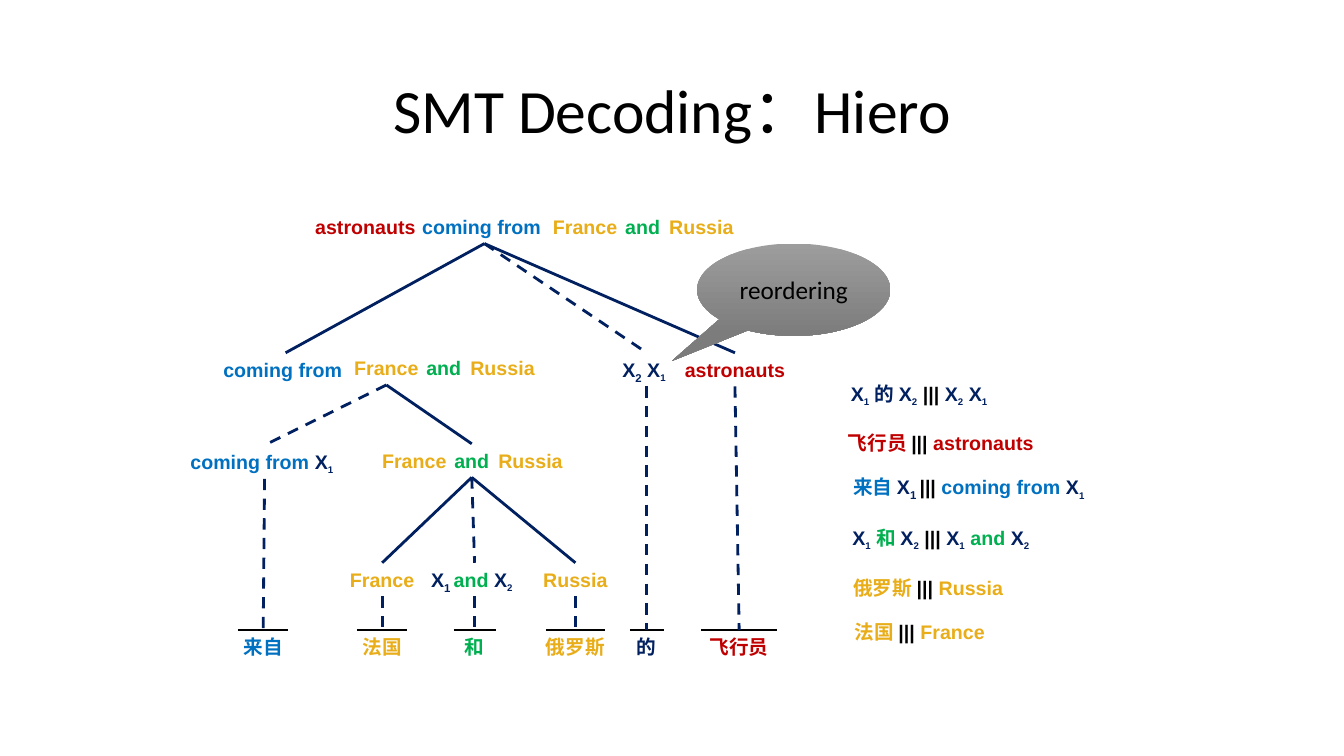
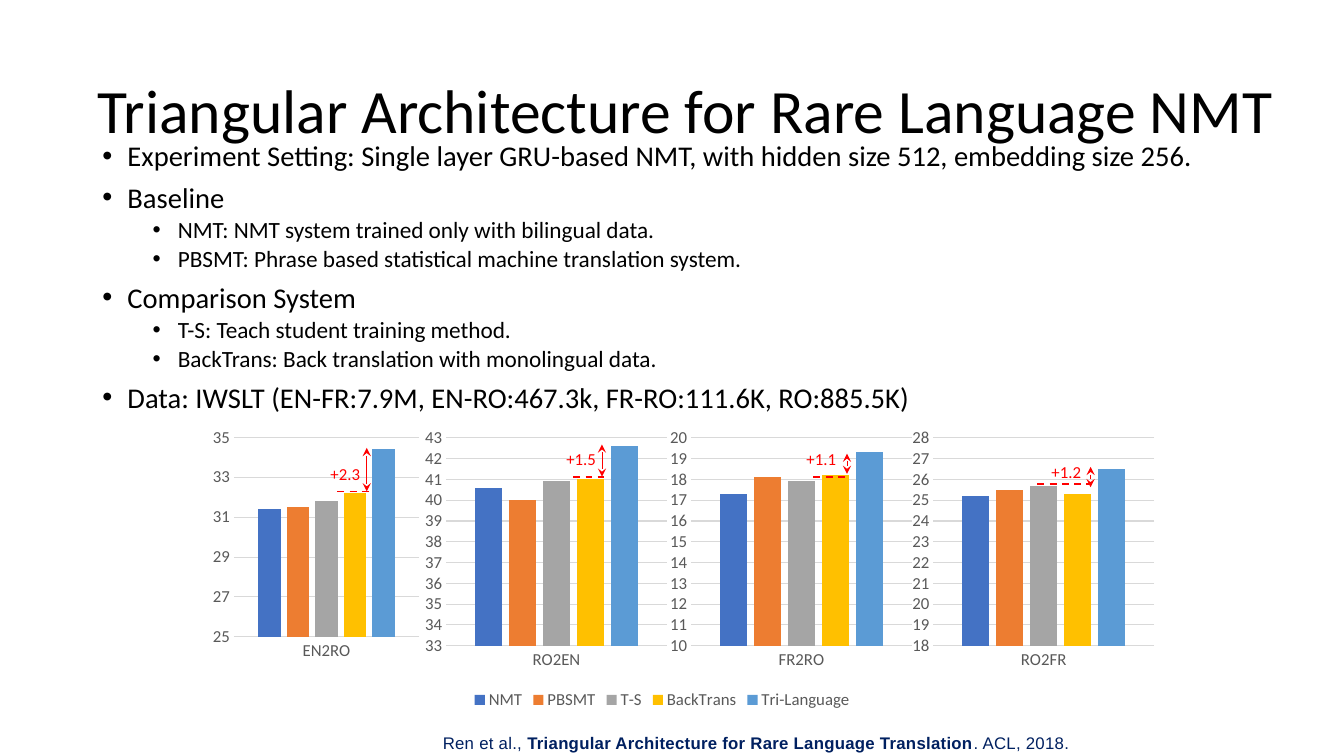
"""Build two slides on machine translation: a Hiero derivation tree and triangular NMT results."""
from lxml.etree import SubElement
from pptx import Presentation
from pptx.chart.data import CategoryChartData
from pptx.dml.color import RGBColor
from pptx.enum.chart import XL_CHART_TYPE, XL_LEGEND_POSITION, XL_TICK_MARK
from pptx.enum.dml import MSO_LINE
from pptx.enum.shapes import MSO_CONNECTOR, MSO_SHAPE
from pptx.enum.text import MSO_ANCHOR, MSO_AUTO_SIZE, PP_ALIGN
from pptx.oxml import parse_xml
from pptx.oxml.ns import qn
from pptx.util import Pt

COLORS = {
    "black": "000000", "navy": "002060", "crimson": "C00000", "blue": "0070C0",
    "gold": "E8AD18", "green": "00B050", "red": "FF0000", "axis": "595959",
    "grid": "D9D9D9", "callout_top": "9D9D9D", "callout_bottom": "7C7C7C",
}
SERIES = {"NMT": "4472C4", "PBSMT": "ED7D31", "T-S": "A5A5A5",
          "BackTrans": "FFC000", "Tri-Language": "5B9BD5"}
TOP, BOTTOM = 0, 2


def write(paragraph, text, size=14, font="Arial", color="black", bold=False, align=None,
          line_spacing=None, space_before=None, bullet_left=None, baseline=0, tracking=0):
    """Fill a paragraph with a string or with (string, format overrides) pairs."""
    if bullet_left:
        properties = paragraph._p.get_or_add_pPr()
        properties.set("marL", str(Pt(bullet_left)))
        properties.set("indent", str(Pt(-18)))
        SubElement(properties, qn("a:buFont")).set("typeface", "Arial")
        SubElement(properties, qn("a:buChar")).set("char", "•")
    paragraph.alignment = align
    paragraph.line_spacing = line_spacing
    if space_before:
        paragraph.space_before = Pt(space_before)
    style = dict(size=size, font=font, color=color, bold=bold, baseline=baseline)
    for words, overrides in [(text, {})] if isinstance(text, str) else text:
        look = style | overrides
        run = paragraph.add_run()
        run.text = words
        run.font.size = Pt(look["size"])
        run.font.name = look["font"]
        run.font.bold = look["bold"]
        run.font.color.rgb = RGBColor.from_string(COLORS[look["color"]])
        for attribute, value in (("baseline", look["baseline"]), ("spc", tracking)):
            if value:
                run._r.get_or_add_rPr().set(attribute, str(value))


def add_line(slide, start, end, color, width=2, dashed=False, arrows=False):
    """Draw a straight connector between two points."""
    connector = slide.shapes.add_connector(
        MSO_CONNECTOR.STRAIGHT, *(Pt(value) for value in (*start, *end)))
    connector.line.color.rgb = RGBColor.from_string(COLORS[color])
    connector.line.width = Pt(width)
    if dashed:
        connector.line.dash_style = MSO_LINE.DASH
    if arrows:
        for tag in ("a:headEnd", "a:tailEnd"):
            SubElement(connector.line._get_or_add_ln(), qn(tag)).set("type", "stealth")
    SubElement(connector._element.spPr, qn("a:effectLst"))
    return connector


presentation = Presentation()
presentation.slide_width, presentation.slide_height = Pt(960), Pt(540)

slides = []
for title_text, left, width in (
    ("SMT Decoding：Hiero", 66, 828),
    ("Triangular Architecture for Rare Language NMT", 32, 916),
):
    slide = presentation.slides.add_slide(presentation.slide_layouts[5])
    title = slide.shapes.title
    title.left, title.top, title.width, title.height = Pt(left), Pt(29), Pt(width), Pt(104)
    title.text_frame.auto_size = MSO_AUTO_SIZE.NONE
    title.text_frame.vertical_anchor = MSO_ANCHOR.MIDDLE
    write(title.text_frame.paragraphs[0], title_text, size=44, font="Calibri",
          align=PP_ALIGN.CENTER, line_spacing=0.9)
    slides.append(slide)
tree_slide, result_slide = slides

BLACK, NAVY, CRIMSON, BLUE, GOLD, GREEN = (
    {"color": name} for name in ("black", "navy", "crimson", "blue", "gold", "green"))
CALIBRI = {"font": "Calibri"}
LARGE_SUBSCRIPT = NAVY | {"baseline": -25000}
SUBSCRIPT = LARGE_SUBSCRIPT | {"size": 12}
X = ("X", NAVY)
X1, X2 = (X, ("1", SUBSCRIPT)), (X, ("2", SUBSCRIPT))
BARS = ("||| ", BLACK)
SPACE = (" ", NAVY)

leaves = [
    ("来自", 164, 48, 36, BLUE),
    ("法国", 246, 54, 36, GOLD),
    ("和", 324, 30, 30, GREEN),
    ("俄罗斯", 378, 66, 42, GOLD),
    ("的", 444, 36, 24, NAVY | CALIBRI),
    ("飞行员", 483, 90, 54, CRIMSON | CALIBRI),
]
labels = [
    ("root astronauts", 216, 150, 90, [("astronauts", CRIMSON)]),
    ("root", 292, 150, 108, [("coming from ", BLUE)]),
    ("coming from", 150, 252, 108, [("coming from ", BLUE)]),
    ("swap", 432, 252, 60, [X, ("2", LARGE_SUBSCRIPT), SPACE, *X1, SPACE]),
    ("astronauts", 480, 252, 90, [("astronauts", CRIMSON)]),
    ("coming from X", 126, 318, 126, [("coming from ", BLUE), *X1, SPACE]),
    ("France", 237, 402, 72, [("France", GOLD)]),
    ("X and X", 300, 402, 78,
     [X, ("1 ", LARGE_SUBSCRIPT), ("and ", GREEN), *X2, SPACE]),
    ("Russia", 378, 402, 66, [("Russia", GOLD)]),
    ("rule 的", 580, 269, 153,
     [*X1, SPACE, ("的 ", NAVY | CALIBRI), *X2, SPACE, BARS, *X2, SPACE, *X1]),
    ("rule 飞行员", 594, 304, 156,
     [("飞行员 ", CRIMSON | CALIBRI), BARS, ("astronauts", CRIMSON)]),
    ("rule 来自", 593, 336, 198,
     [("来自 ", BLUE), X, ("1 ", LARGE_SUBSCRIPT), BARS, ("coming from ", BLUE), *X1]),
    ("rule 和", 594, 372, 156,
     [*X1, SPACE, ("和 ", GREEN), *X2, SPACE, BARS, *X1, SPACE, ("and ", GREEN), *X2]),
    ("rule 俄罗斯", 594, 408, 138, [("俄罗斯 ", GOLD), BARS, ("Russia", GOLD)]),
    ("rule 法国", 597, 439, 120, [("法国 ", GOLD), BARS, ("France", GOLD)]),
]
for level, left, top in (("top", 386, 150), ("middle", 244, 251), ("low", 264, 317)):
    for word, offset, width, style in (
        ("France", 0, 64, GOLD), ("and", 49, 48, GREEN), ("Russia", 83, 64, GOLD),
    ):
        labels.append((f"{level} {word}", left + offset, top, width, [(word, style)]))
for word, left, width, bar, style in leaves:
    labels.append((word, left, 450, width, [(word, style)]))
    center = left + width / 2
    add_line(tree_slide, (center - bar / 2, 450), (center + bar / 2, 450), "black")

nodes = {}
for name, left, top, width, runs in labels:
    nodes[name] = tree_slide.shapes.add_textbox(Pt(left), Pt(top), Pt(width), Pt(24))
    nodes[name].text_frame.word_wrap = True
    write(nodes[name].text_frame.paragraphs[0], runs, bold=True, align=PP_ALIGN.CENTER)

for parent, child, dashed in (
    ("root", "coming from", False),
    ("root", "swap", True),
    ("root", "astronauts", False),
    ("middle France", "coming from X", True),
    ("middle France", "low and", False),
    ("low and", "France", False),
    ("low and", "X and X", True),
    ("low and", "Russia", False),
    ("coming from X", "来自", True),
    ("France", "法国", True),
    ("X and X", "和", True),
    ("Russia", "俄罗斯", True),
    ("swap", "的", True),
    ("astronauts", "飞行员", True),
):
    branch = add_line(tree_slide, (0, 0), (0, 0), "navy", dashed=dashed)
    branch.begin_connect(nodes[parent], BOTTOM)
    branch.end_connect(nodes[child], TOP)

callout = tree_slide.shapes.add_shape(
    MSO_SHAPE.OVAL_CALLOUT, Pt(498), Pt(174), Pt(138), Pt(66))
callout.adjustments[0], callout.adjustments[1] = -0.63, 0.77
callout.shadow.inherit = False
callout.fill.gradient()
callout.fill.gradient_angle = 270
for stop, name in zip(callout.fill.gradient_stops, ("callout_top", "callout_bottom")):
    stop.color.rgb = RGBColor.from_string(COLORS[name])
callout.line.fill.background()
callout.text_frame.vertical_anchor = MSO_ANCHOR.MIDDLE
write(callout.text_frame.paragraphs[0], "reordering", size=18, font="Calibri",
      align=PP_ALIGN.CENTER)

charts = [
    ("EN2RO", (130, 300, 686, 210), (25, 35, 2), (31.4, 31.5, 31.8, 32.2, 34.4)),
    ("RO2EN", (300, 302, 180, 180), (33, 43, 1), (40.6, 40, 40.9, 41, 42.6)),
    ("FR2RO", (475, 302, 180, 180), (10, 20, 1), (17.3, 18.1, 17.9, 18.2, 19.3)),
    ("RO2FR", (648, 302, 180, 180), (18, 28, 1), (25.2, 25.5, 25.7, 25.3, 26.5)),
]
for category, box, (low, high, step), values in charts:
    data = CategoryChartData()
    data.categories = [category]
    for name, value in zip(SERIES, values):
        data.add_series(name, [value])
    chart = result_slide.shapes.add_chart(
        XL_CHART_TYPE.COLUMN_CLUSTERED, *(Pt(value) for value in box), data).chart
    chart.has_title = False
    chart.has_legend = category == "EN2RO"
    chart.font.name, chart.font.size = "Calibri", Pt(12)
    chart.font.color.rgb = RGBColor.from_string(COLORS["axis"])
    chart._chartSpace.find(qn("c:chart")).addnext(parse_xml(
        '<c:spPr xmlns:c="http://schemas.openxmlformats.org/drawingml/2006/chart"'
        ' xmlns:a="http://schemas.openxmlformats.org/drawingml/2006/main">'
        '<a:noFill/><a:ln><a:noFill/></a:ln></c:spPr>'))
    plot = chart.plots[0]
    plot.vary_by_categories = False
    plot.gap_width, plot.overlap = 219, -27
    for series, color in zip(plot.series, SERIES.values()):
        series.format.fill.solid()
        series.format.fill.fore_color.rgb = RGBColor.from_string(color)
    value_axis = chart.value_axis
    value_axis.minimum_scale, value_axis.maximum_scale = low, high
    value_axis.major_unit = step
    value_axis.format.line.fill.background()
    for axis in (chart.category_axis, value_axis):
        axis.major_tick_mark = axis.minor_tick_mark = XL_TICK_MARK.NONE
    for line in (chart.category_axis.format.line, value_axis.major_gridlines.format.line):
        line.color.rgb = RGBColor.from_string(COLORS["grid"])
        line.width = Pt(0.75)
    if chart.has_legend:
        chart.legend.position = XL_LEGEND_POSITION.BOTTOM
        chart.legend.include_in_layout = False
        plot_area = chart._chartSpace.find(".//" + qn("c:plotArea"))
        for old_layout in plot_area.findall(qn("c:layout")):
            plot_area.remove(old_layout)
        layout = plot_area.makeelement(qn("c:layout"))
        plot_area.insert(0, layout)
        manual = SubElement(layout, qn("c:manualLayout"))
        for tag, value in (("layoutTarget", "inner"), ("xMode", "edge"), ("yMode", "edge"),
                           ("x", 0.054), ("y", 0.059), ("w", 0.193), ("h", 0.679)):
            SubElement(manual, qn(f"c:{tag}")).set("val", str(value))

for gain, left, top, arrow_x, arrow_top, arrow_bottom, dash_left, dash_right, dash_y in (
    ("+2.3", 229, 328, 262, 320, 351, 241, 263.5, 351),
    ("+1.5", 397.5, 317, 430, 317.5, 340.5, 409.5, 431.5, 340.5),
    ("+1.1", 569, 317, 605, 324, 338.5, 581, 603.5, 340.5),
    ("+1.2", 744, 326, 779, 333.5, 348, 741, 780, 345.5),
):
    gain_box = result_slide.shapes.add_textbox(Pt(left), Pt(top), Pt(36), Pt(22))
    gain_box.text_frame.word_wrap = False
    write(gain_box.text_frame.paragraphs[0], gain, size=12, font="Calibri", color="red")
    add_line(result_slide, (arrow_x, arrow_top), (arrow_x, arrow_bottom), "red", 0.5,
             arrows=True)
    add_line(result_slide, (dash_left, dash_y), (dash_right, dash_y), "red", 1.25,
             dashed=True)

body = result_slide.shapes.add_textbox(Pt(66), Pt(100), Pt(842), Pt(216)).text_frame
body.word_wrap = True
for index, (level, text) in enumerate((
    (0, "Experiment Setting: Single layer GRU-based NMT, with hidden size 512, "
        "embedding size 256."),
    (0, "Baseline"),
    (1, "NMT: NMT system trained only with bilingual data."),
    (1, "PBSMT: Phrase based statistical machine translation system."),
    (0, "Comparison System"),
    (1, "T-S: Teach student training method."),
    (1, "BackTrans: Back translation with monolingual data."),
    (0, "Data: IWSLT (EN-FR:7.9M, EN-RO:467.3k, FR-RO:111.6K, RO:885.5K)"),
)):
    paragraph = body.add_paragraph() if index else body.paragraphs[0]
    paragraph.level = level
    write(paragraph, text, size=(20.4, 16.6)[level], font="Calibri", line_spacing=0.8,
          space_before=(10, 5)[level] if index else None, bullet_left=(18, 54)[level])

citation = result_slide.shapes.add_textbox(Pt(250), Pt(525), Pt(580), Pt(13)).text_frame
citation.margin_left = citation.margin_right = citation.margin_top = citation.margin_bottom = 0
citation.word_wrap = True
write(citation.paragraphs[0],
      [("Ren et al., ", {}),
       ("Triangular Architecture for Rare Language Translation", {"bold": True}),
       (". ACL, 2018.", {})],
      size=12, color="navy", align=PP_ALIGN.CENTER, line_spacing=0.9, tracking=20)

presentation.save("out.pptx")
